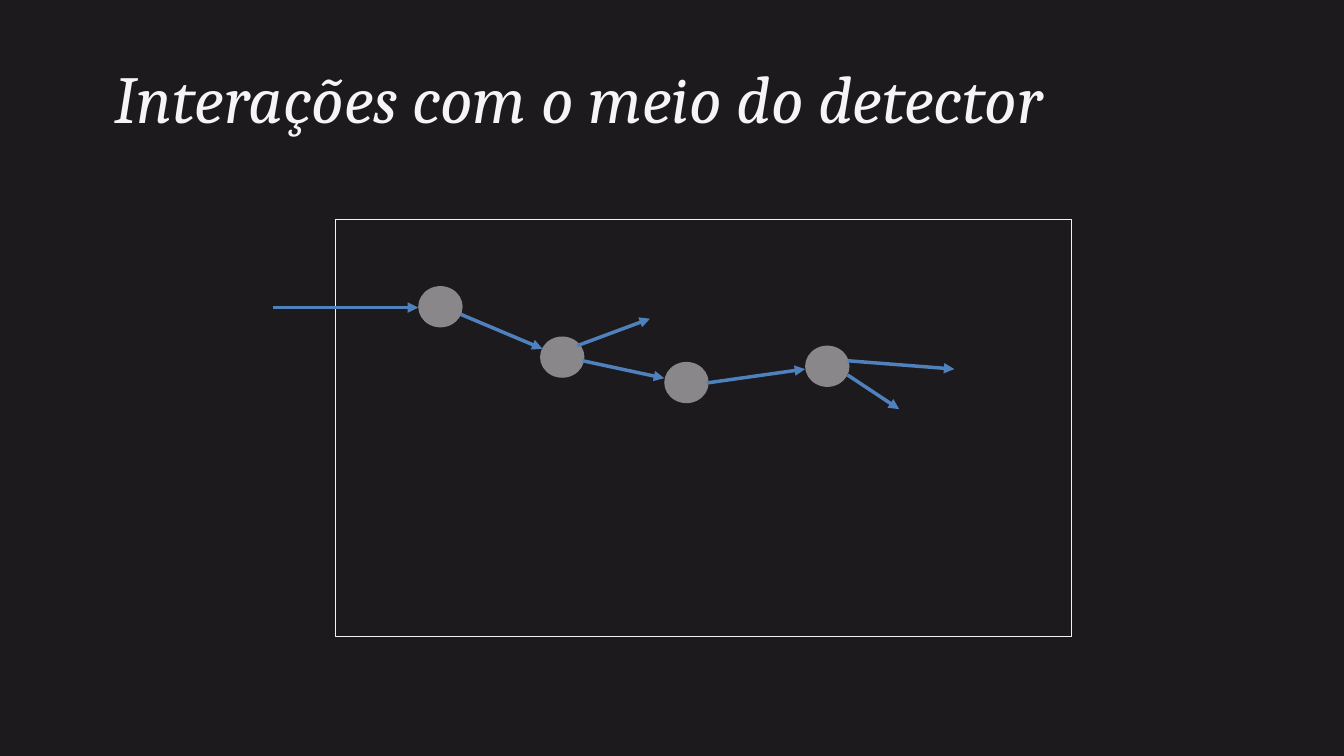
from lxml import etree
from pptx import Presentation
from pptx import util as u
from pptx.dml.color import RGBColor
from pptx.enum import shapes, text
from pptx.oxml.ns import qn

COLORS = {"background": "1D1A1D", "light": "F5F5F5", "frame": "F2F2F2", "track": "4F81BD"}
FONT = "Cambria"

# Lengths in centimetres
ATOM_SIZE = (1.12, 1.04)
ATOMS = [(10.54, 7.21), (13.61, 8.48), (16.74, 9.12), (20.29, 8.71)]  # left, top
TRACKS = [  # start x, start y, end x, end y
    (6.88, 7.75, 10.54, 7.75),
    (11.61, 7.92, 13.67, 8.79),
    (14.68, 9.09, 16.74, 9.53),
    (14.55, 8.71, 16.38, 8.03),
    (17.81, 9.65, 20.29, 9.3),
    (21.36, 9.45, 22.66, 10.31),
    (21.36, 9.09, 24.05, 9.3),
]


def color(name):
    return RGBColor.from_string(COLORS[name])


def cm(*lengths):
    return [u.Cm(v) for v in lengths]


def add_title(slide, words, box):
    tf = slide.shapes.add_textbox(*cm(*box)).text_frame
    tf.word_wrap = True
    tf.vertical_anchor = text.MSO_ANCHOR.MIDDLE
    tf.text = words
    p = tf.paragraphs[0]
    p.line_spacing = 0.85
    font = p.runs[0].font
    font.name, font.size, font.italic = FONT, u.Pt(48), True
    font.color.rgb = color("light")


def add_frame(parent, box):
    s = parent.shapes.add_shape(shapes.MSO_SHAPE.RECTANGLE, *cm(*box))
    s.shadow.inherit = False
    s.fill.background()
    s.line.color.rgb = color("frame")
    s.line.width = u.Pt(0.75)


def add_atom(parent, left, top):
    s = parent.shapes.add_shape(shapes.MSO_SHAPE.OVAL, *cm(left, top, *ATOM_SIZE))
    s.shadow.inherit = False
    s.fill.solid()
    s.fill.fore_color.rgb = color("light")
    s.line.fill.background()
    # Half-transparent fill
    rgb = s._element.spPr.find(qn("a:solidFill")).find(qn("a:srgbClr"))
    etree.SubElement(rgb, qn("a:alpha"), val="50000")


def add_track(parent, *ends):
    c = parent.shapes.add_connector(shapes.MSO_CONNECTOR.STRAIGHT, *cm(*ends))
    c.line.color.rgb = color("track")
    c.line.width = u.Pt(2.5)
    # Arrowhead at the end, no shadow
    etree.SubElement(c.line._get_or_add_ln(), qn("a:tailEnd"), type="triangle")
    etree.SubElement(c._element.spPr, qn("a:effectLst"))


def main():
    prs = Presentation()
    prs.slide_width, prs.slide_height = cm(33.87, 19.05)
    slide = prs.slides.add_slide(prs.slide_layouts[6])
    slide.background.fill.solid()
    slide.background.fill.fore_color.rgb = color("background")

    add_title(slide, "Interações com o meio do detector", (2.64, 1.09, 29.08, 3))

    # Detector with the particle's path through it
    detector = slide.shapes.add_group_shape()
    add_frame(detector, (8.46, 5.54, 18.54, 10.49))
    for atom in ATOMS:
        add_atom(detector, *atom)
    for track in TRACKS:
        add_track(detector, *track)

    prs.save("out.pptx")


if __name__ == "__main__":
    main()
